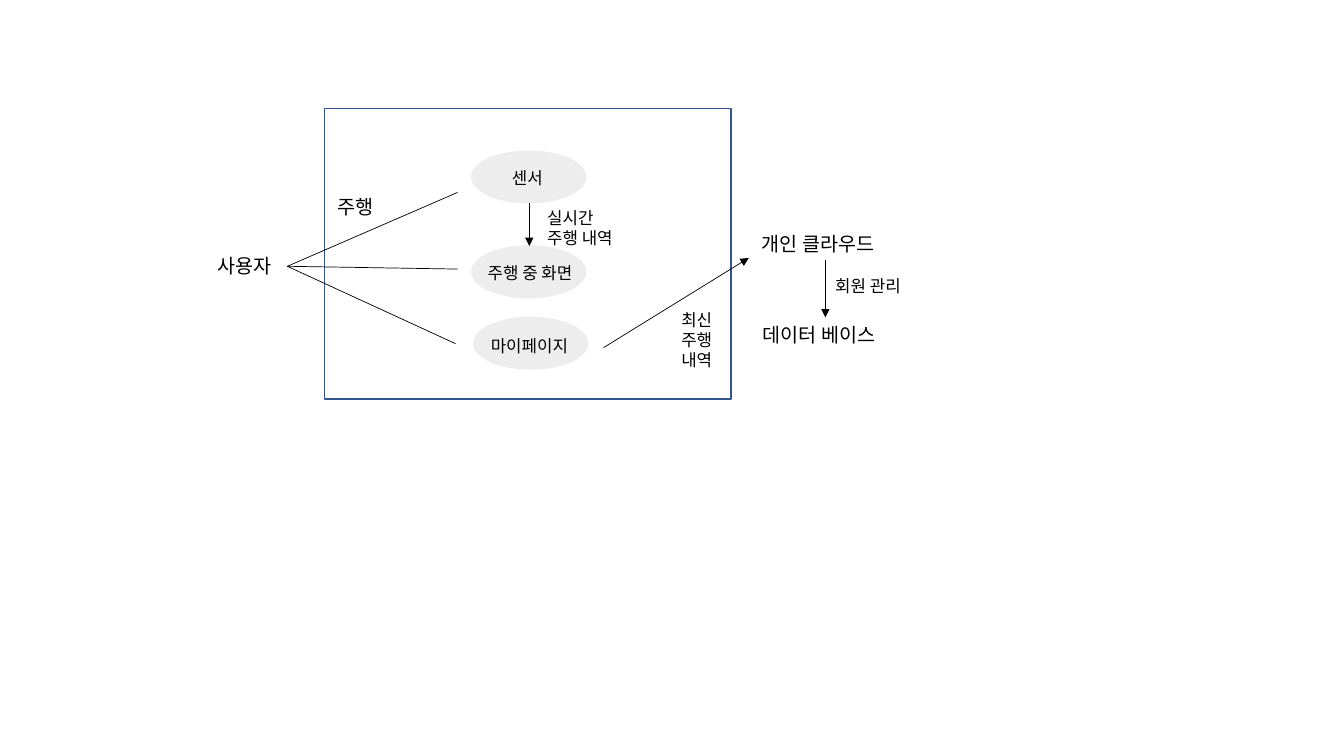
from dataclasses import dataclass

from lxml.etree import SubElement
from pptx import Presentation
from pptx.dml.color import RGBColor
from pptx.enum.shapes import MSO_CONNECTOR, MSO_SHAPE
from pptx.enum.text import MSO_AUTO_SIZE
from pptx.oxml.ns import qn
from pptx.util import Cm, Pt

BLACK = RGBColor(0x00, 0x00, 0x00)
FRAME_BLUE = RGBColor(0x32, 0x54, 0x91)
NODE_GREY = RGBColor(0xED, 0xED, 0xED)
FONT = "Noto Sans CJK KR"
LINE_FACTOR = 1.2
NODE_WIDTH, NODE_HEIGHT = 2.87, 1.3
USER_POINT = (7.24, 6.71)


@dataclass(frozen=True)
class Label:
    text: str
    left: float
    top: float
    width: float
    size: int = 12
    wrap: bool = True


@dataclass(frozen=True)
class Link:
    start: tuple[float, float]
    end: tuple[float, float]
    arrow: bool = False


NODES = [(11.89, 3.81), (11.89, 6.2), (11.94, 8.0)]

LINKS = [
    *(Link(USER_POINT, end) for end in [(11.53, 4.85), (11.48, 8.66), (11.53, 6.78)]),
    Link((15.21, 8.76), (18.87, 6.5), arrow=True),
    Link((13.34, 5.11), (13.34, 6.2), arrow=True),
    Link((20.8, 6.55), (20.8, 8.0), arrow=True),
]

LABELS = [
    Label("센서", 12.65, 4.09, 1.47),
    Label("주행 중 화면", 12.04, 6.5, 3.1),
    Label("마이페이지", 12.12, 8.33, 2.64),
    Label("실시간\n주행 내역", 13.54, 5.11, 3.1),
    Label("회원 관리", 20.8, 6.83, 3.1),
    Label("최신\n주행\n내역", 16.92, 7.67, 2.13),
    Label("사용자", 5.23, 6.27, 2.01, 14, False),
    Label("주행", 8.26, 4.78, 1.5, 14, False),
    Label("개인 클라우드", 18.95, 5.72, 3.68, 14, False),
    Label("데이터 베이스", 18.97, 8.0, 3.68, 14, False),
]


def add_outline(page, kind: MSO_SHAPE, left: float, top: float, width: float,
                height: float, color: RGBColor, filled: bool) -> None:
    shape = page.shapes.add_shape(kind, Cm(left), Cm(top), Cm(width), Cm(height))
    shape.shadow.inherit = False
    shape.line.color.rgb = color
    shape.line.width = Pt(1)
    if filled:
        shape.fill.solid()
        shape.fill.fore_color.rgb = color
    else:
        shape.fill.background()


def add_link(page, link: Link) -> None:
    points = [Cm(value) for value in (*link.start, *link.end)]
    connector = page.shapes.add_connector(MSO_CONNECTOR.STRAIGHT, *points)
    connector.line.color.rgb = BLACK
    connector.line.width = Pt(0.5)
    if link.arrow:
        SubElement(connector.line._get_or_add_ln(), qn("a:tailEnd"), type="triangle")
    SubElement(connector._element.spPr, qn("a:effectLst"))


def add_label(page, label: Label) -> None:
    pitch = Pt(label.size * LINE_FACTOR)
    height = pitch * len(label.text.split("\n")) + Cm(0.25)
    box = page.shapes.add_textbox(Cm(label.left), Cm(label.top), Cm(label.width), height)
    frame = box.text_frame
    frame.word_wrap = label.wrap
    frame.auto_size = MSO_AUTO_SIZE.SHAPE_TO_FIT_TEXT
    frame.text = label.text
    for para in frame.paragraphs:
        para.line_spacing = pitch
        for span in para.runs:
            span.font.name = FONT
            span.font.size = Pt(label.size)
            span.font.color.rgb = BLACK
            SubElement(span.font._element, qn("a:ea"), typeface=FONT)


deck = Presentation()
deck.slide_width, deck.slide_height = Cm(33.87), Cm(19.05)
page = deck.slides.add_slide(deck.slide_layouts[6])

add_outline(page, MSO_SHAPE.RECTANGLE, 8.18, 2.74, 10.24, 7.32, FRAME_BLUE, False)
for left, top in NODES:
    add_outline(page, MSO_SHAPE.OVAL, left, top, NODE_WIDTH, NODE_HEIGHT, NODE_GREY, True)
for link in LINKS:
    add_link(page, link)
for label in LABELS:
    add_label(page, label)

deck.save("out.pptx")
